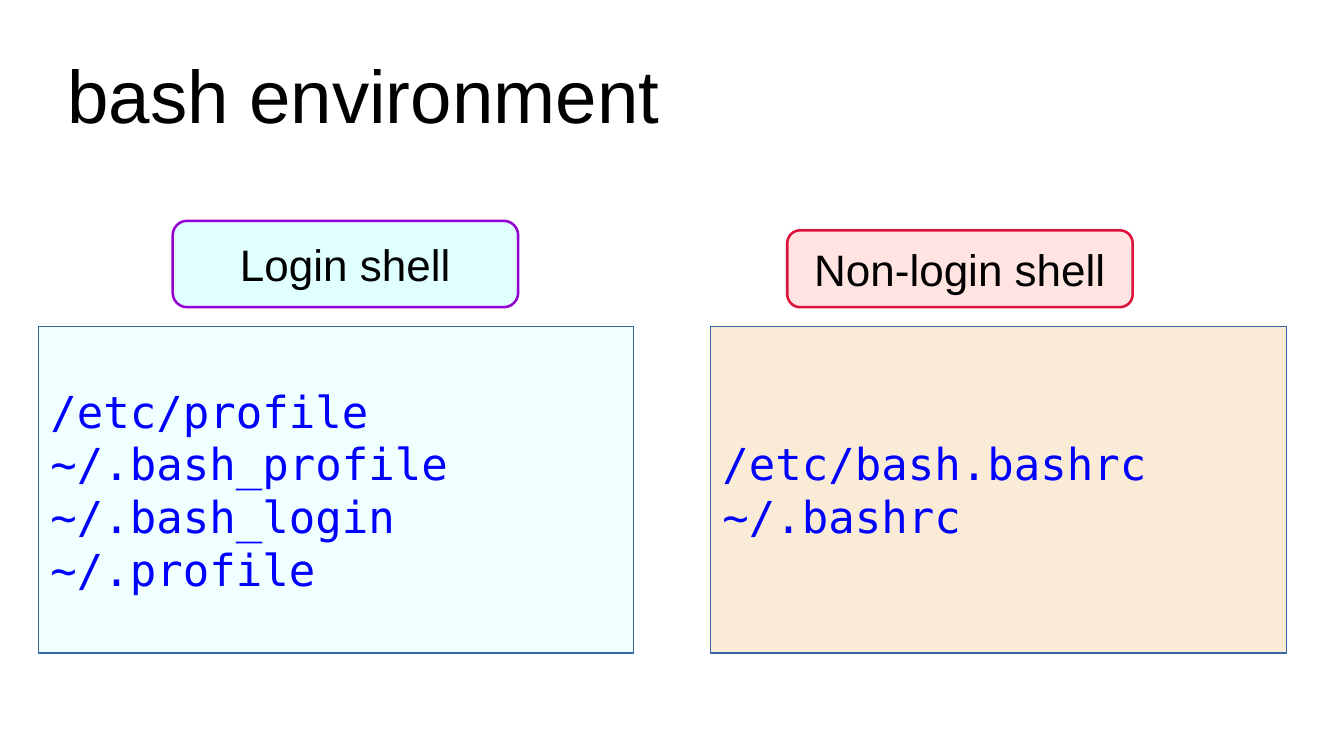
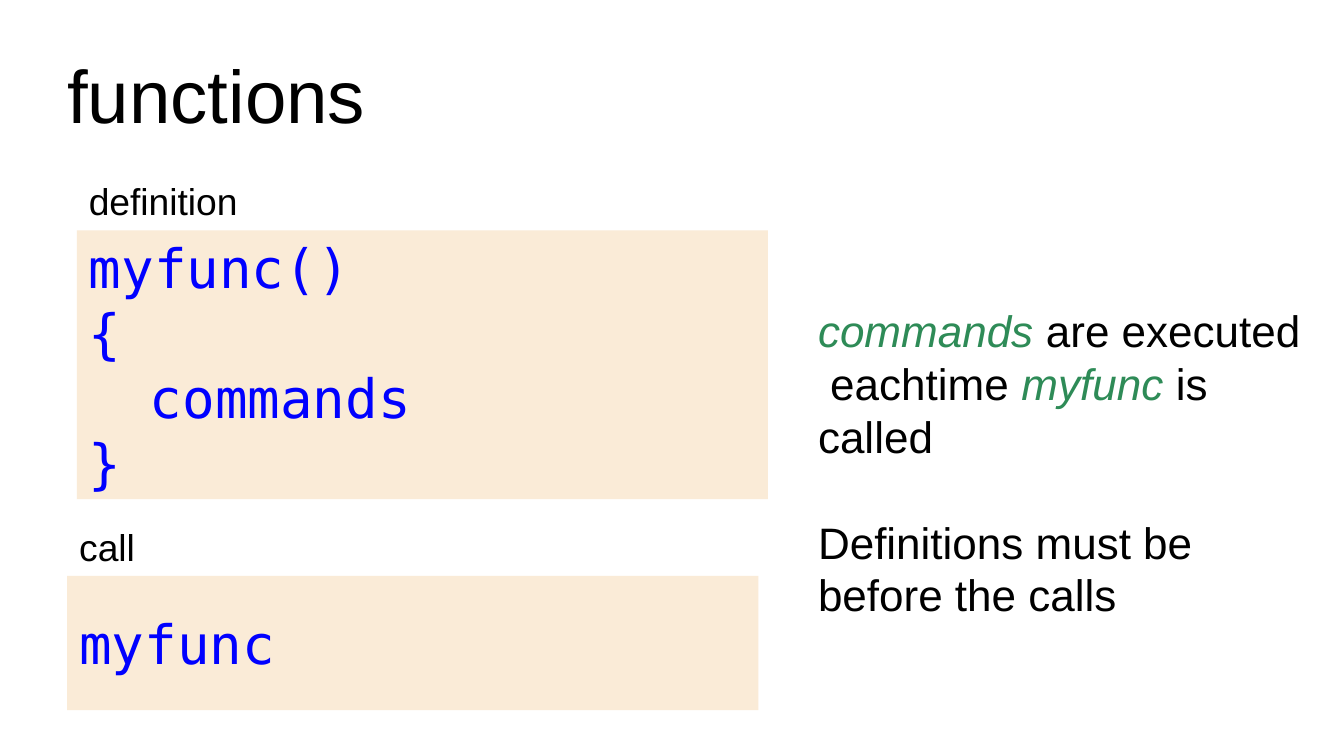
import pptx
import pptx.dml.color
import pptx.enum.shapes
import pptx.enum.text
import pptx.util

Pt = pptx.util.Pt
Align = pptx.enum.text.PP_ALIGN
Anchor = pptx.enum.text.MSO_ANCHOR
Preset = pptx.enum.shapes.MSO_SHAPE

SANS, MONO = "Arial", "DejaVu Sans Mono"
BLACK, CODE_BLUE, TERM_GREEN = "000000", "0000FF", "2E8B57"
CODE_FILL, CODE_LINE = "FAEBD7", "3465A4"
LINE_FACTOR = 1.2
BOX_INSETS = (7.2, 3.6)

TITLE = {"name": SANS, "size": 44, "color": BLACK}
BODY = {"name": SANS, "size": 26, "color": BLACK}
CAPTION = {"name": SANS, "size": 22, "color": BLACK}
FILES = {"name": MONO, "size": 26, "color": CODE_BLUE}
CODE = {"name": MONO, "size": 32, "color": CODE_BLUE}
TERM = {"color": TERM_GREEN, "italic": True}


def rgb(value):
    return pptx.dml.color.RGBColor.from_string(value)


def style_font(font, style):
    for key, value in style.items():
        if key == "color":
            font.color.rgb = rgb(value)
        else:
            setattr(font, key, Pt(value) if key == "size" else value)


def write(shape, paragraphs, style, insets=BOX_INSETS, anchor=Anchor.MIDDLE,
          align=Align.LEFT, gap=0):
    """Fill a shape; a paragraph is a string or a list of (text, extra style)."""
    frame = shape.text_frame
    across, down = insets
    settings = {"word_wrap": True, "vertical_anchor": anchor,
                "margin_left": Pt(across), "margin_right": Pt(across),
                "margin_top": Pt(down), "margin_bottom": Pt(down)}
    for key, value in settings.items():
        setattr(frame, key, value)
    for index, content in enumerate(paragraphs):
        paragraph = frame.add_paragraph() if index else frame.paragraphs[0]
        paragraph.alignment = align
        paragraph.line_spacing = Pt(style["size"] * LINE_FACTOR)
        paragraph.space_before = Pt(gap if index else 0)
        runs = [(content, {})] if isinstance(content, str) else content
        for text, extra in runs:
            if text == "\n":
                paragraph.add_line_break()
                continue
            run = paragraph.add_run()
            run.text = text
            style_font(run.font, {**style, **extra})


def add_text(slide, area, paragraphs, style, **options):
    write(slide.shapes.add_textbox(*map(Pt, area)), paragraphs, style, **options)


def add_box(slide, area, paragraphs, style, fill, line=None, line_width=0,
            preset=Preset.RECTANGLE, **options):
    box = slide.shapes.add_shape(preset, *map(Pt, area))
    box.shadow.inherit = False
    box.fill.solid()
    box.fill.fore_color.rgb = rgb(fill)
    if line:
        box.line.color.rgb = rgb(line)
        box.line.width = Pt(line_width)
    else:
        box.line.fill.background()
    write(box, paragraphs, style, **options)


def add_shell(slide, heading, heading_area, heading_colors, files, files_area, files_fill):
    """Rounded heading above the list of files that the shell reads."""
    fill, line = heading_colors
    add_box(slide, heading_area, [heading], BODY, fill, line, 1.5,
            preset=Preset.ROUNDED_RECTANGLE, align=Align.CENTER)
    add_box(slide, files_area, files, FILES, files_fill, CODE_LINE)


def add_listing(slide, caption, left, top, height, lines):
    """Code block with its caption above."""
    add_box(slide, (left, top, 408.2, height), lines, CODE, CODE_FILL)
    add_text(slide, (left, top - 34, 255, 32), [caption], CAPTION, anchor=Anchor.TOP)


def add_slide(deck, title):
    slide = deck.slides.add_slide(deck.slide_layouts[6])
    add_text(slide, (39.7, 18, 714, 75), [title], TITLE, insets=(0, 0))
    return slide


def build_environment(deck):
    slide = add_slide(deck, "bash environment")
    add_shell(slide, "Login shell", (102, 130.4, 204, 51), ("E0FFFF", "9400D3"),
              ["/etc/profile", "~/.bash_profile", "~/.bash_login", "~/.profile"],
              (22.7, 192.8, 351.5, 192.8), "F0FFFF")
    add_shell(slide, "Non-login shell", (464.9, 136, 204, 45.4), ("FFE4E1", "DC143C"),
              ["/etc/bash.bashrc", "~/.bashrc"],
              (419.5, 192.8, 340.2, 192.8), CODE_FILL)


def build_functions(deck):
    slide = add_slide(deck, "functions")
    add_listing(slide, "definition", 45.4, 136, 158.7,
                ["myfunc()", "{", "\tcommands", "}"])
    add_listing(slide, "call", 39.7, 340, 79.4, ["myfunc"])
    remarks = [
        [("commands", TERM), (" are executed", {}), ("\n", {}),
         (" eachtime ", {}), ("myfunc", TERM), (" is called", {})],
        "Definitions must be before the calls",
    ]
    add_text(slide, (476, 175.7, 300, 181.4), remarks, BODY,
             anchor=Anchor.TOP, gap=BODY["size"] * LINE_FACTOR)


def main():
    deck = pptx.Presentation()
    deck.slide_width, deck.slide_height = Pt(793.7), Pt(446.4)
    build_environment(deck)
    build_functions(deck)
    deck.save("out.pptx")


if __name__ == "__main__":
    main()
